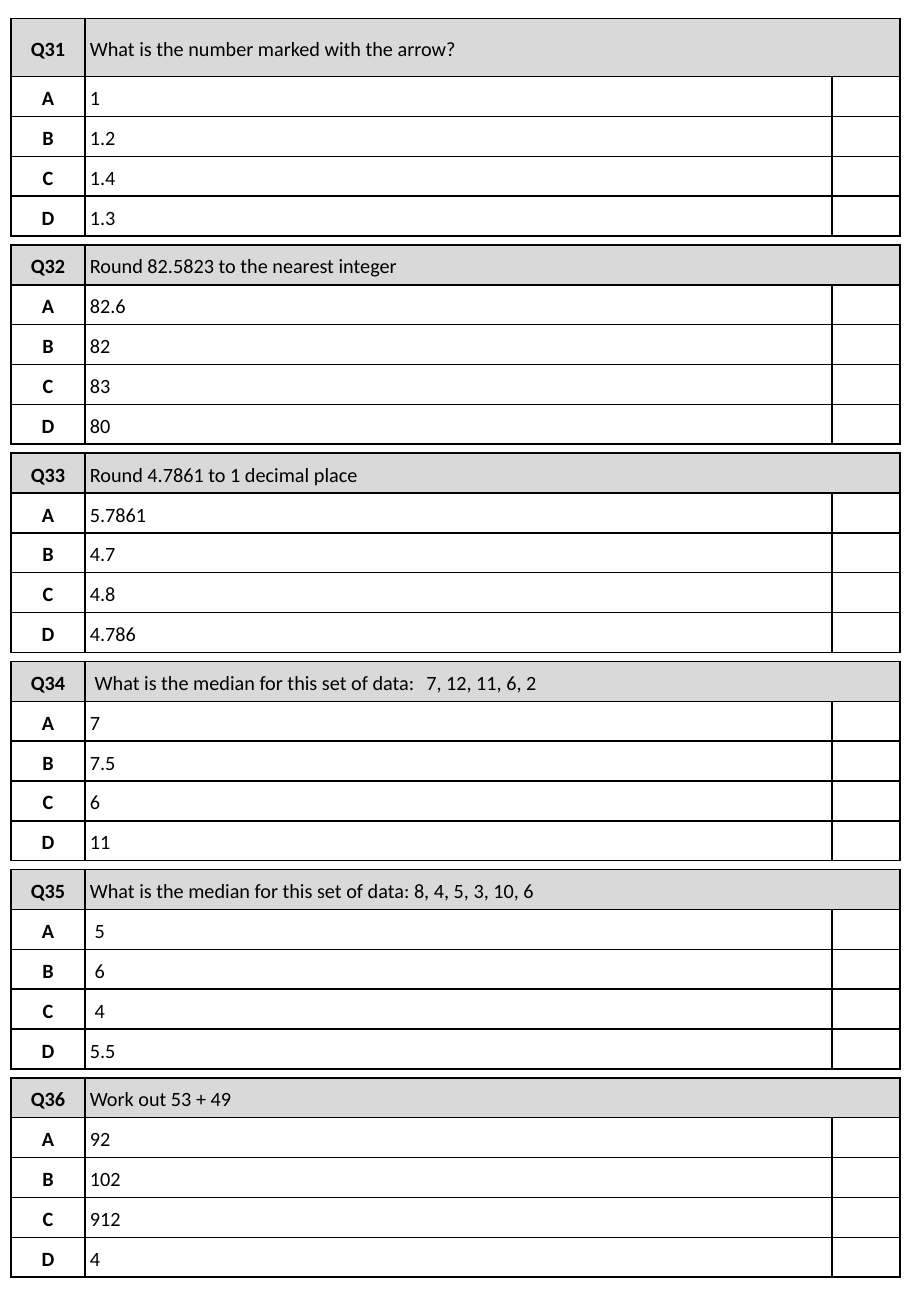
from dataclasses import dataclass

from lxml.etree import SubElement
from pptx import Presentation
from pptx.dml.color import RGBColor as RGB
from pptx.enum.text import MSO_ANCHOR as Anchor, PP_ALIGN as Align
from pptx.oxml.ns import qn
from pptx.util import Inches, Pt


@dataclass(frozen=True)
class Theme:
    font: str = "Calibri"
    size: float = 12
    ink: RGB = RGB(0x00, 0x00, 0x00)
    heading: RGB = RGB(0xD9, 0xD9, 0xD9)
    border: float = 1


# Layout, in inches
LEFT, TOP, BOTTOM = 0.09, 0.15, 10.51
COLUMNS = (0.61, 6.15, 0.56)
ROW = 1.64 / 5
TALL_ROW = 0.48
INDENT, DEEP_INDENT = 0.04, 0.08
DATA_TAB = 2.73

# Number, question, answers A to D
QUESTIONS = [
    ("Q31", "What is the number marked with the arrow?", ("1", "1.2", "1.4", "1.3")),
    ("Q32", "Round 82.5823 to the nearest integer", ("82.6", "82", "83", "80")),
    ("Q33", "Round 4.7861 to 1 decimal place", ("5.7861", "4.7", "4.8", "4.786")),
    ("Q34", "What is the median for this set of data:\t7, 12, 11, 6, 2",
     ("7", "7.5", "6", "11")),
    ("Q35", "What is the median for this set of data: 8, 4, 5, 3, 10, 6",
     ("5", "6", "4", "5.5")),
    ("Q36", "Work out 53 + 49", ("92", "102", "912", "4")),
]
TALL = {"Q31"}
DEEP = {("Q34", "Q34"), ("Q35", "A"), ("Q35", "B"), ("Q35", "C")}


def write(cell, text, theme, bold=False, align=Align.LEFT, indent=0, tab=None):
    """Put one formatted paragraph in a cell."""
    cell.margin_left = Inches(indent)
    paragraph = cell.text_frame.paragraphs[0]
    paragraph.alignment = align
    paragraph.line_spacing = 1.18
    paragraph.space_after = Pt(6)
    if tab:
        stops = SubElement(paragraph._p.get_or_add_pPr(), qn("a:tabLst"))
        SubElement(stops, qn("a:tab"), pos=str(Inches(tab)), algn="l")
    run = paragraph.add_run()
    run.text = text
    run.font.name = theme.font
    run.font.size = Pt(theme.size)
    run.font.bold = bold
    run.font.color.rgb = theme.ink


class QuizSheet:
    def __init__(self, slide, theme):
        self.slide = slide
        self.theme = theme

    def style_cell(self, cell, fill=None):
        """Clear the margins, draw the four borders and set the fill."""
        cell.margin_left = cell.margin_right = 0
        cell.margin_top = cell.margin_bottom = 0
        cell.vertical_anchor = Anchor.MIDDLE
        properties = cell._tc.get_or_add_tcPr()
        for side in "LRTB":
            line = SubElement(properties, qn(f"a:ln{side}"),
                              w=str(Pt(self.theme.border)))
            solid = SubElement(line, qn("a:solidFill"))
            SubElement(solid, qn("a:srgbClr"), val=str(self.theme.ink))
        if fill is None:
            cell.fill.background()
        else:
            cell.fill.solid()
            cell.fill.fore_color.rgb = fill

    def question(self, top, heights, number, prompt, answers):
        """Draw one question with its lettered answers and tick boxes."""
        grid = self.slide.shapes.add_table(
            len(heights), len(COLUMNS), Inches(LEFT), Inches(top),
            Inches(sum(COLUMNS)), Inches(sum(heights))).table
        grid.first_row = grid.horz_banding = False
        for column, width in zip(grid.columns, COLUMNS):
            column.width = Inches(width)

        lines = [(number, prompt), *zip("ABCD", answers)]
        for index, (label, text) in enumerate(lines):
            grid.rows[index].height = Inches(heights[index])
            for position in range(len(COLUMNS)):
                self.style_cell(grid.cell(index, position),
                                None if index else self.theme.heading)
            write(grid.cell(index, 0), label, self.theme, bold=True,
                  align=Align.CENTER)
            write(grid.cell(index, 1), text, self.theme,
                  indent=DEEP_INDENT if (number, label) in DEEP else INDENT,
                  tab=DATA_TAB if "\t" in text else None)
        grid.cell(0, 1).merge(grid.cell(0, 2))


def main():
    deck = Presentation()
    deck.slide_width, deck.slide_height = Inches(7.5), Inches(10.83)
    sheet = QuizSheet(deck.slides.add_slide(deck.slide_layouts[6]), Theme())

    # Stack the questions with equal gaps
    stack = [[TALL_ROW if number in TALL else ROW] + [ROW] * len(answers)
             for number, _, answers in QUESTIONS]
    gap = (BOTTOM - TOP - sum(map(sum, stack))) / (len(stack) - 1)
    top = TOP
    for heights, entry in zip(stack, QUESTIONS):
        sheet.question(top, heights, *entry)
        top += sum(heights) + gap

    deck.save("out.pptx")


if __name__ == "__main__":
    main()
